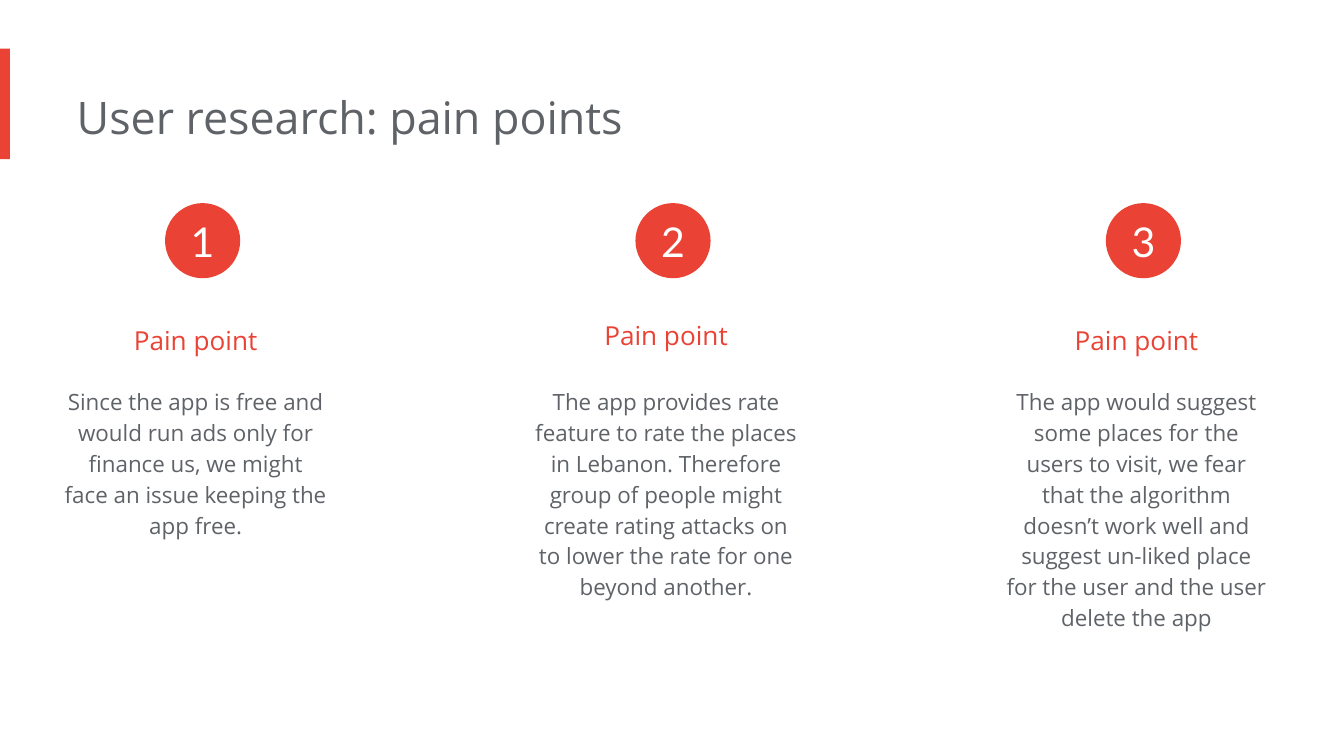
from dataclasses import dataclass

from pptx import Presentation
from pptx.dml.color import RGBColor
from pptx.enum import shapes, text
from pptx.util import Cm, Pt


@dataclass(frozen=True)
class Theme:
    accent: str = "EA4335"
    body: str = "5F6368"
    light: str = "FFFFFF"
    font: str = "Open Sans"
    number_font: str = "Lato"
    title_size: int = 24
    number_size: int = 22
    heading_size: int = 14
    body_size: int = 12


THEME = Theme()
LEFT, PITCH, WIDTH = 1.22, 8.89, 5.21
BADGE_OFFSET, BADGE_TOP, BADGE_SIZE = 1.9, 3.84, 1.42
HEADING_HEIGHT, BODY_TOP = 1.12, 7.01

# Heading top, body height, body text
PAIN_POINTS = [
    (5.59, 3.45, "Since the app is free and would run ads only for finance us, "
                 "we might face an issue keeping the app free."),
    (5.49, 5.23, "The app provides rate feature to rate the places in Lebanon. "
                 "Therefore group of people might create rating attacks on to "
                 "lower the rate for one beyond another."),
    (5.59, 5.23, "The app would suggest some places for the users to visit, we "
                 "fear that the algorithm doesn’t work well and suggest un-liked "
                 "place for the user and the user delete the app"),
]


def write(tf, content, *, size, color, font=THEME.font, align=None, spacing=None):
    p = tf.paragraphs[0]
    p.alignment = align
    p.line_spacing = spacing
    r = p.add_run()
    r.text = content
    r.font.name = font
    r.font.size = Pt(size)
    r.font.color.rgb = RGBColor.from_string(color)


def set_margins(tf, left, others):
    tf.margin_left = Cm(left)
    tf.margin_top = tf.margin_right = tf.margin_bottom = Cm(others)


def add_text(s, x, y, w, h, content, **style):
    tf = s.shapes.add_textbox(Cm(x), Cm(y), Cm(w), Cm(h)).text_frame
    tf.word_wrap = True
    tf.auto_size = text.MSO_AUTO_SIZE.SHAPE_TO_FIT_TEXT
    set_margins(tf, 0, 0.25)
    write(tf, content, **style)


def add_accent_shape(s, kind, x, y, w, h):
    sp = s.shapes.add_shape(kind, Cm(x), Cm(y), Cm(w), Cm(h))
    sp.shadow.inherit = False
    sp.fill.solid()
    sp.fill.fore_color.rgb = RGBColor.from_string(THEME.accent)
    sp.line.fill.background()
    return sp


def add_badge(s, x, number):
    sp = add_accent_shape(s, shapes.MSO_SHAPE.OVAL, x, BADGE_TOP,
                          BADGE_SIZE, BADGE_SIZE)
    tf = sp.text_frame
    tf.vertical_anchor = text.MSO_ANCHOR.MIDDLE
    set_margins(tf, 0, 0)
    write(tf, str(number), size=THEME.number_size, color=THEME.light,
          font=THEME.number_font, align=text.PP_ALIGN.CENTER)


def add_pain_point(s, index, heading_top, body_height, body):
    x = LEFT + index * PITCH
    center = text.PP_ALIGN.CENTER
    add_text(s, x, heading_top, WIDTH, HEADING_HEIGHT, "Pain point",
             size=THEME.heading_size, color=THEME.accent, align=center, spacing=1.5)
    add_text(s, x, BODY_TOP, WIDTH, body_height, body,
             size=THEME.body_size, color=THEME.body, align=center, spacing=1.15)
    add_badge(s, x + BADGE_OFFSET, index + 1)


def main():
    prs = Presentation()
    prs.slide_width, prs.slide_height = Cm(25.4), Cm(14.29)
    s = prs.slides.add_slide(prs.slide_layouts[6])
    add_accent_shape(s, shapes.MSO_SHAPE.RECTANGLE, 0, 0.92, 0.19, 2.09)
    add_text(s, 1.45, 1.45, 17.1, 1.55, "User research: pain points",
             size=THEME.title_size, color=THEME.body)
    for index, pain_point in enumerate(PAIN_POINTS):
        add_pain_point(s, index, *pain_point)
    prs.save("out.pptx")


if __name__ == "__main__":
    main()
